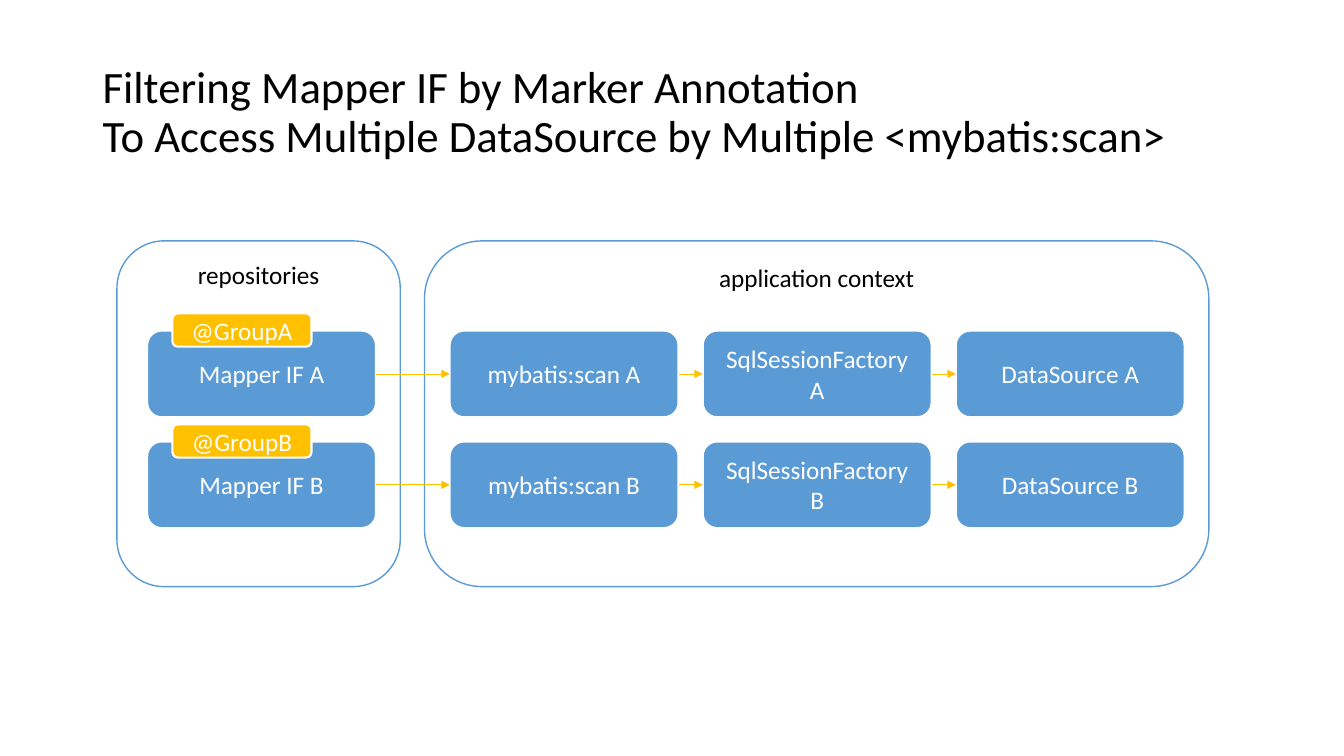
from dataclasses import dataclass
from itertools import pairwise

from lxml.etree import SubElement
from pptx import Presentation
from pptx.dml.color import RGBColor as Rgb
from pptx.enum.shapes import MSO_CONNECTOR as Conn, MSO_SHAPE as Shape
from pptx.enum.text import MSO_ANCHOR as Anchor, PP_ALIGN as Align
from pptx.oxml.ns import qn
from pptx.util import Inches, Pt


@dataclass(frozen=True)
class Theme:
    """Colours, font and type sizes of the slide."""
    blue: Rgb = Rgb(0x5B, 0x9B, 0xD5)
    gold: Rgb = Rgb(0xFF, 0xC0, 0x00)
    white: Rgb = Rgb(0xFF, 0xFF, 0xFF)
    black: Rgb = Rgb(0, 0, 0)
    font: str = "Calibri"
    head: int = 32
    body: int = 18


THEME = Theme()
GROUPS = ("A", "B")
STAGES = ("mybatis:scan", "SqlSessionFactory", "DataSource")
NODE_W, NODE_H = 2.27, 0.86
STEP_X, STEP_Y = 2.51, 1.1
NODE_TOP = 0.89


def add_run(para, text, size, color):
    """Add one styled run to a paragraph."""
    run = para.add_run()
    run.text = text
    run.font.name = THEME.font
    run.font.size = Pt(size)
    run.font.color.rgb = color


def add_box(slide, box, text, fill, edge, width, ink, anchor=Anchor.MIDDLE):
    """Draw a rounded box with a centred label."""
    shape = slide.shapes.add_shape(Shape.ROUNDED_RECTANGLE, *map(Inches, box))
    shape.shadow.inherit = False
    shape.fill.solid()
    shape.fill.fore_color.rgb = fill
    shape.line.color.rgb = edge
    shape.line.width = Pt(width)
    frame = shape.text_frame
    frame.word_wrap = True
    frame.vertical_anchor = anchor
    para = frame.paragraphs[0]
    para.alignment = Align.CENTER
    add_run(para, text, THEME.body, ink)
    return shape


def add_panel(slide, box, text):
    """Draw an outlined panel with its label at the top."""
    add_box(slide, box, text, THEME.white, THEME.blue, 1, THEME.black, Anchor.TOP)


def add_node(slide, box, text, fill):
    """Draw a filled node with a white edge and label."""
    return add_box(slide, box, text, fill, THEME.white, 1.5, THEME.white)


def add_title(slide, box, lines):
    """Place the title, one run per line."""
    frame = slide.shapes.add_textbox(*map(Inches, box)).text_frame
    frame.word_wrap = True
    frame.vertical_anchor = Anchor.MIDDLE
    para = frame.paragraphs[0]
    para.line_spacing = 0.9
    for i, line in enumerate(lines):
        if i:
            para.add_line_break()
        add_run(para, line, THEME.head, THEME.black)


def add_repos(slide, box):
    """Draw the repositories panel and return its mapper nodes."""
    left, top = box[:2]
    add_panel(slide, box, "repositories")
    nodes = []
    for row, group in enumerate(GROUPS):
        y = top + NODE_TOP + row * STEP_Y
        place = (left + 0.3, y, NODE_W, NODE_H)
        nodes.append(add_node(slide, place, f"Mapper IF {group}", THEME.blue))
        tag = (left + 0.55, y - 0.17, 1.38, 0.33)
        add_node(slide, tag, f"@Group{group}", THEME.gold)
    return nodes


def add_context(slide, box):
    """Draw the context panel and return its rows of nodes."""
    left, top = box[:2]
    add_panel(slide, box, "application context")
    rows = []
    for row, group in enumerate(GROUPS):
        y = top + NODE_TOP + row * STEP_Y
        rows.append([
            add_node(slide, (left + 0.25 + col * STEP_X, y, NODE_W, NODE_H),
                     f"{stage} {group}", THEME.blue)
            for col, stage in enumerate(STAGES)
        ])
    return rows


def add_arrow(slide, start, end):
    """Join the right side of one node to the left side of the next."""
    arrow = slide.shapes.add_connector(Conn.STRAIGHT, 0, 0, 0, 0)
    arrow.begin_connect(start, 3)
    arrow.end_connect(end, 1)
    arrow.line.color.rgb = THEME.gold
    arrow.line.width = Pt(0.5)
    SubElement(arrow.line._get_or_add_ln(), qn("a:tailEnd"), type="triangle")
    SubElement(arrow._element.spPr, qn("a:effectLst"))


def main():
    """Build and save the slide."""
    deck = Presentation()
    deck.slide_width, deck.slide_height = Inches(13.33), Inches(7.5)
    slide = deck.slides.add_slide(deck.slide_layouts[6])
    add_title(slide, (0.92, 0.4, 11.5, 1.45), (
        "Filtering Mapper IF by Marker Annotation",
        "To Access Multiple DataSource by Multiple <mybatis:scan>",
    ))
    rows = add_context(slide, (4.21, 2.39, 7.78, 3.43))
    maps = add_repos(slide, (1.16, 2.39, 2.81, 3.43))
    for node, row in zip(maps, rows):
        for start, end in pairwise([node, *row]):
            add_arrow(slide, start, end)
    deck.save("out.pptx")


if __name__ == "__main__":
    main()
